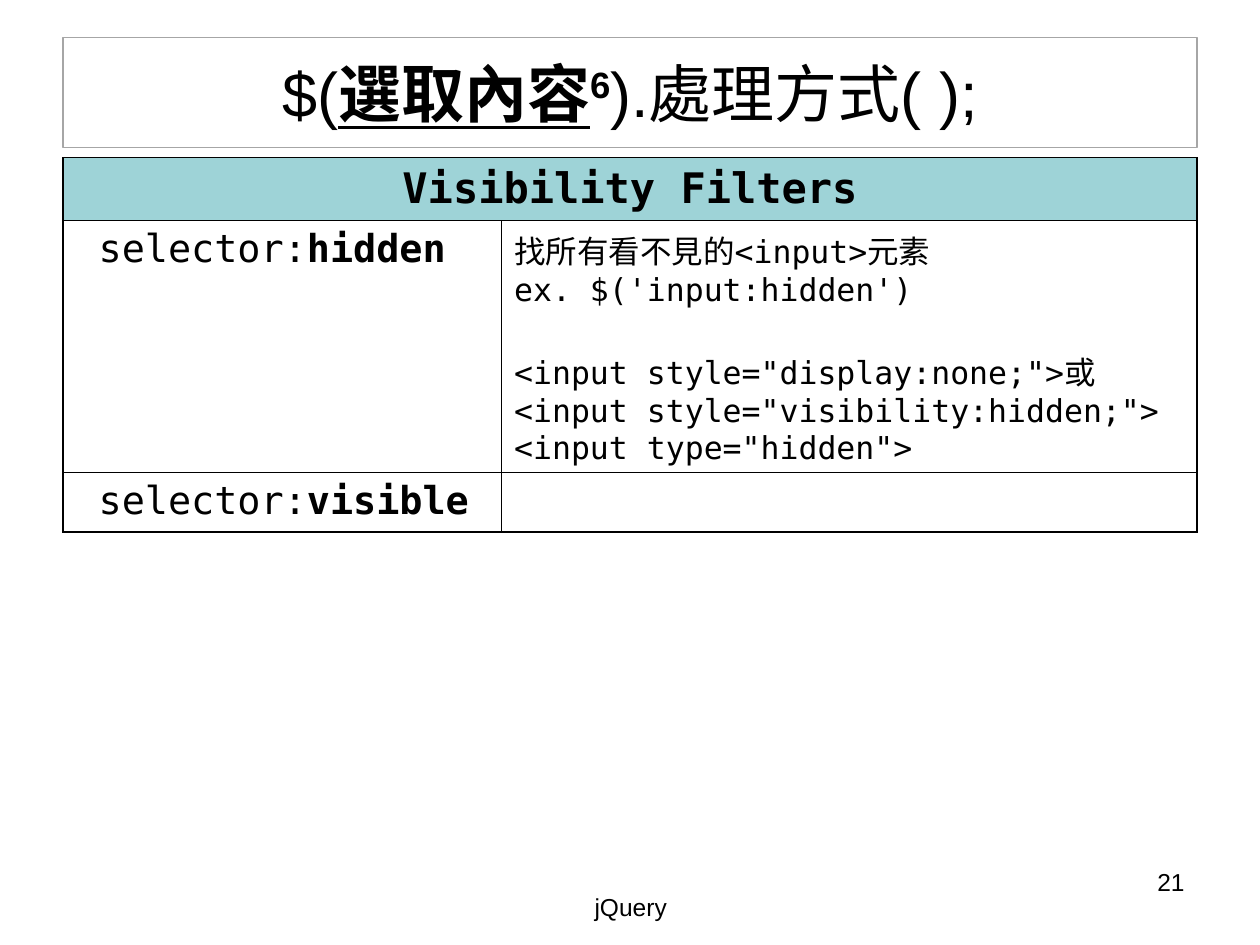
"""Build the jQuery visibility filters slide."""
from lxml.etree import SubElement
from pptx import Presentation
from pptx.dml.color import RGBColor
from pptx.enum.text import MSO_ANCHOR, MSO_AUTO_SIZE, PP_ALIGN
from pptx.oxml import parse_xml
from pptx.oxml.ns import nsdecls, qn
from pptx.util import Cm, Pt

COLORS = {"text": "000000", "border": "000000", "outline": "A6A6A6",
          "header": "9ED3D7", "cell": "FFFFFF"}
SANS, MONO = "Arial", "DejaVu Sans Mono"
LEFT, WIDTH = Cm(1.27), Cm(22.86)
COLUMNS = (8.84, 14.02)
ROWS = (1.27, 5.03, 1.19)
BOLD = {"bold": True}
HIDDEN_NOTES = (
    ("找所有看不見的<input>元素", 0),
    ("ex. $('input:hidden')", 0),
    ('<input style="display:none;">或', 22),
    ('<input style="visibility:hidden;">', 0),
    ('<input type="hidden">', 0),
)


def color(name):
    return RGBColor.from_string(COLORS[name])


def add_run(p, text, size, font, **formats):
    r = p.add_run()
    r.text = text
    values = {"name": font, "size": Pt(size), "bold": False, **formats}
    for key, value in values.items():
        setattr(r.font, key, value)
    r.font.color.rgb = color("text")
    return r


def add_title(s):
    sp = s.shapes.title
    bounds = {"left": LEFT, "top": Cm(0.76), "width": WIDTH, "height": Cm(2.21)}
    for key, value in bounds.items():
        setattr(sp, key, value)
    sp.line.color.rgb = color("outline")
    sp.line.width = Pt(0.75)
    tf = sp.text_frame
    tf.auto_size = MSO_AUTO_SIZE.NONE
    tf.vertical_anchor = MSO_ANCHOR.MIDDLE
    p = tf.paragraphs[0]
    p.alignment = PP_ALIGN.CENTER
    add_run(p, "$(", 36, SANS)
    add_run(p, "選取內容", 36, SANS, bold=True, underline=True)
    r = add_run(p, "6", 36, SANS, bold=True)
    r.font._element.set("baseline", "30000")
    add_run(p, ").處理方式( );", 36, SANS)


def add_label(s, text, left, top, width, height, align):
    tf = s.shapes.add_textbox(Cm(left), Cm(top), Cm(width), Cm(height)).text_frame
    tf.word_wrap = True
    p = tf.paragraphs[0]
    p.alignment = align
    add_run(p, text, 14, SANS)


def style_cell(cell, fill):
    cell.fill.solid()
    cell.fill.fore_color.rgb = color(fill)
    tcPr = cell._tc.get_or_add_tcPr()
    for i, side in enumerate(("lnL", "lnR", "lnT", "lnB")):
        ln = parse_xml(f'<a:{side} {nsdecls("a")} w="{Pt(1)}"/>')
        paint = SubElement(ln, qn("a:solidFill"))
        SubElement(paint, qn("a:srgbClr"), val=COLORS["border"])
        tcPr.insert(i, ln)


def fill_selector(cell, name):
    cell.margin_left = Cm(0.72)
    p = cell.text_frame.paragraphs[0]
    add_run(p, "selector:", 22, MONO)
    add_run(p, name, 22, MONO, **BOLD)


def fill_notes(cell, notes):
    tf = cell.text_frame
    for i, (text, gap) in enumerate(notes):
        p = tf.add_paragraph() if i else tf.paragraphs[0]
        if gap:
            p.space_before = Pt(gap)
        add_run(p, text, 18, MONO)


def add_filter_table(s):
    frame = s.shapes.add_table(len(ROWS), len(COLUMNS), LEFT, Cm(3.18),
                               WIDTH, Cm(sum(ROWS)))
    table = frame.table
    for column, width in zip(table.columns, COLUMNS):
        column.width = Cm(width)
    for i, (row, height) in enumerate(zip(table.rows, ROWS)):
        row.height = Cm(height)
        for cell in row.cells:
            style_cell(cell, "cell" if i else "header")
    header = table.cell(0, 0)
    header.merge(table.cell(0, 1))
    p = header.text_frame.paragraphs[0]
    p.alignment = PP_ALIGN.CENTER
    add_run(p, "Visibility Filters", 24, MONO, **BOLD)
    for i, name in enumerate(("hidden", "visible"), 1):
        fill_selector(table.cell(i, 0), name)
    fill_notes(table.cell(1, 1), HIDDEN_NOTES)


def main():
    prs = Presentation()
    prs.slide_width, prs.slide_height = Cm(25.4), Cm(19.05)
    s = prs.slides.add_slide(prs.slide_layouts[5])
    add_title(s)
    add_filter_table(s)
    add_label(s, "21", 18.21, 17.35, 5.92, 1.32, PP_ALIGN.RIGHT)
    add_label(s, "jQuery", 8.69, 17.86, 8.05, 1.27, PP_ALIGN.CENTER)
    prs.save("out.pptx")


if __name__ == "__main__":
    main()
